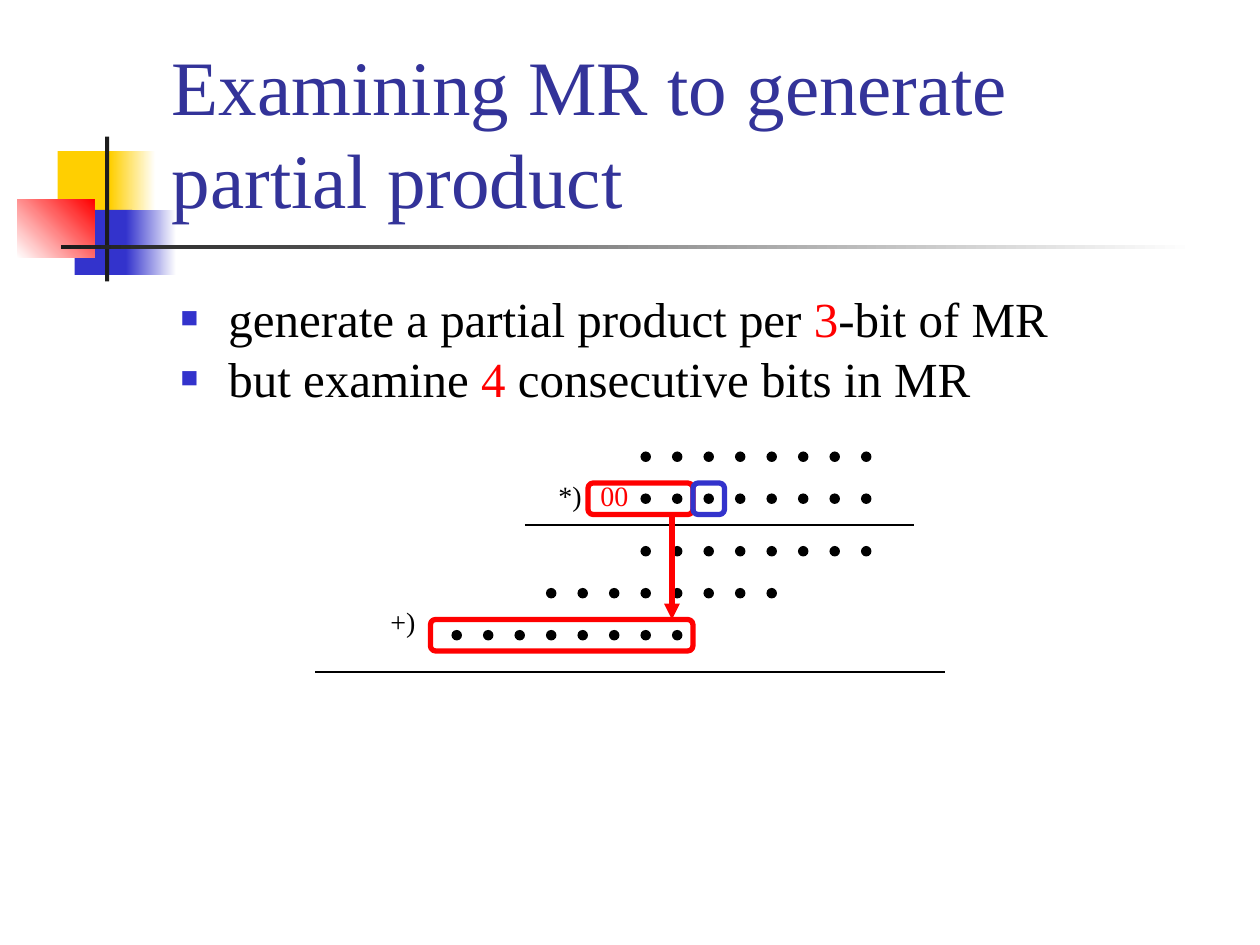
from lxml.etree import SubElement
from pptx import Presentation
from pptx.dml.color import RGBColor
from pptx.enum.shapes import MSO_CONNECTOR as Connector, MSO_SHAPE as Shape
from pptx.enum.text import MSO_ANCHOR as Anchor, MSO_AUTO_SIZE as AutoSize, PP_ALIGN as Align
from pptx.oxml.ns import qn
from pptx.util import Inches, Pt

BLACK, RED, BLUE, NAVY = "000000", "FF0000", "3333CC", "333399"
YELLOW, WHITE, CHARCOAL = "FFCF01", "FFFFFF", "1C1C1C"


def rgb(code):
    return RGBColor.from_string(code)


def add_xml(parent, tag, **attributes):
    return SubElement(parent, qn(tag), attributes)


class DotDiagramSlide:
    """Slide style on a grid of twelve units to the inch."""

    font = "Times New Roman"
    unit = Inches(1) / 12

    def __init__(self, deck):
        self.page = deck.slides.add_slide(deck.slide_layouts[1])
        self.shapes = self.page.shapes

    def lengths(self, *units):
        return [round(value * self.unit) for value in units]

    def start_group(self):
        self.shapes = self.page.shapes.add_group_shape().shapes

    def end_group(self):
        self.shapes = self.page.shapes

    def format_run(self, span, size, color):
        span.font.name = self.font
        span.font.size = Pt(size)
        span.font.color.rgb = rgb(color)

    def place(self, holder, *area):
        holder.left, holder.top, holder.width, holder.height = self.lengths(*area)
        holder.element.getparent().append(holder.element)
        holder.text_frame.auto_size = AutoSize.NONE
        holder.text_frame.word_wrap = True
        return holder.text_frame

    def title(self, text, *area):
        frame = self.place(self.page.shapes.title, *area)
        frame.text = text
        frame.vertical_anchor = Anchor.BOTTOM
        para = frame.paragraphs[0]
        para.alignment = Align.LEFT
        self.format_run(para.runs[0], 44, NAVY)

    def bullets(self, items, *area):
        frame = self.place(self.page.placeholders[1], *area)
        frame.vertical_anchor = Anchor.TOP
        frame.text = "\n".join("".join(parts) for parts in items)
        for index, (para, parts) in enumerate(zip(frame.paragraphs, items)):
            para.text = ""
            para.line_spacing = 0.8
            para.space_before = Pt(7 if index else 0)
            self.square_bullet(para)
            for part, color in zip(parts, (BLACK, RED, BLACK)):
                span = para.add_run()
                span.text = part
                self.format_run(span, 28, color)

    def square_bullet(self, para):
        props = para._p.get_or_add_pPr()
        indent = Inches(0.38)
        props.set("marL", str(indent))
        props.set("indent", str(-indent))
        add_xml(add_xml(props, "a:buClr"), "a:srgbClr", val=BLUE)
        add_xml(props, "a:buSzPct", val="60000")
        add_xml(props, "a:buFont", typeface=self.font)
        add_xml(props, "a:buChar", char="■")

    def solid(self, kind, color, *area):
        shape = self.shapes.add_shape(kind, *self.lengths(*area))
        shape.shadow.inherit = False
        shape.line.fill.background()
        shape.fill.solid()
        shape.fill.fore_color.rgb = rgb(color)
        return shape

    def fade(self, start, end, angle, *area):
        fill = self.solid(Shape.RECTANGLE, start, *area).fill
        fill.gradient()
        fill.gradient_angle = angle
        for stop, color in zip(fill.gradient_stops, (start, end)):
            stop.color.rgb = rgb(color)

    def dots(self, column, row, count=8, gap=3):
        for index in range(count):
            self.solid(Shape.OVAL, BLACK, column + index * gap, row, 1, 1)

    def frame(self, color, *area):
        box = self.solid(Shape.ROUNDED_RECTANGLE, color, *area)
        box.fill.background()
        box.line.color.rgb = rgb(color)
        box.line.width = Pt(3)

    def line(self, color, width, *ends, arrow=False):
        rule = self.shapes.add_connector(Connector.STRAIGHT, *self.lengths(*ends))
        rule.line.color.rgb = rgb(color)
        rule.line.width = Pt(width)
        if arrow:
            add_xml(rule.line._get_or_add_ln(), "a:tailEnd", type="triangle")
        add_xml(rule._element.spPr, "a:effectLst")

    def label(self, text, color, *area):
        box = self.shapes.add_textbox(*self.lengths(*area))
        box.text_frame.word_wrap = False
        box.text_frame.auto_size = AutoSize.SHAPE_TO_FIT_TEXT
        box.text_frame.text = text
        self.format_run(box.text_frame.paragraphs[0].runs[0], 16, color)


def draw_ornament(slide):
    slide.solid(Shape.RECTANGLE, YELLOW, 5.5, 14.4, 5.8, 6.2)
    slide.fade(YELLOW, WHITE, 0, 10.5, 14.4, 4.3, 6.2)
    slide.solid(Shape.RECTANGLE, BLUE, 7.1, 20, 5.5, 6.2)
    slide.fade(BLUE, WHITE, 0, 12, 20, 4.8, 6.2)
    slide.fade(WHITE, RED, 45, 1.65, 19, 7.35, 5.55)
    slide.solid(Shape.RECTANGLE, CHARCOAL, 10, 13, 0.4, 13.8)
    slide.fade(CHARCOAL, WHITE, 0, 5.8, 23.35, 108, 0.4)


def draw_multiplication(slide):
    slide.start_group()
    slide.label("*)", BLACK, 52, 45, 4.8, 4.4)
    slide.line(BLACK, 0.75, 50, 50, 87, 50)
    for column, row in ((61, 43), (61, 47), (61, 52), (52, 56), (43, 60)):
        slide.dots(column, row)
    slide.label("+)", BLACK, 36, 57, 4.8, 4.4)
    slide.line(BLACK, 0.75, 30, 64, 90, 64)
    slide.end_group()
    slide.frame(RED, 56, 46, 10, 3)
    slide.frame(RED, 41, 59, 25, 3)
    slide.line(RED, 3, 64, 49, 64, 59, arrow=True)
    slide.frame(BLUE, 66, 46, 3, 3)
    slide.label("00", RED, 56, 45, 5.4, 4.4)


def main():
    deck = Presentation()
    deck.slide_width, deck.slide_height = Inches(10), Inches(7.5)
    slide = DotDiagramSlide(deck)
    draw_ornament(slide)
    slide.title("Examining MR to generate partial product", 15.15, 2.7, 101, 19.2)
    slide.bullets(
        [("generate a partial product per ", "3", "-bit of MR"),
         ("but examine ", "4", " consecutive bits in MR")],
        16, 28, 102, 11.5)
    draw_multiplication(slide)
    deck.save("out.pptx")


if __name__ == "__main__":
    main()
